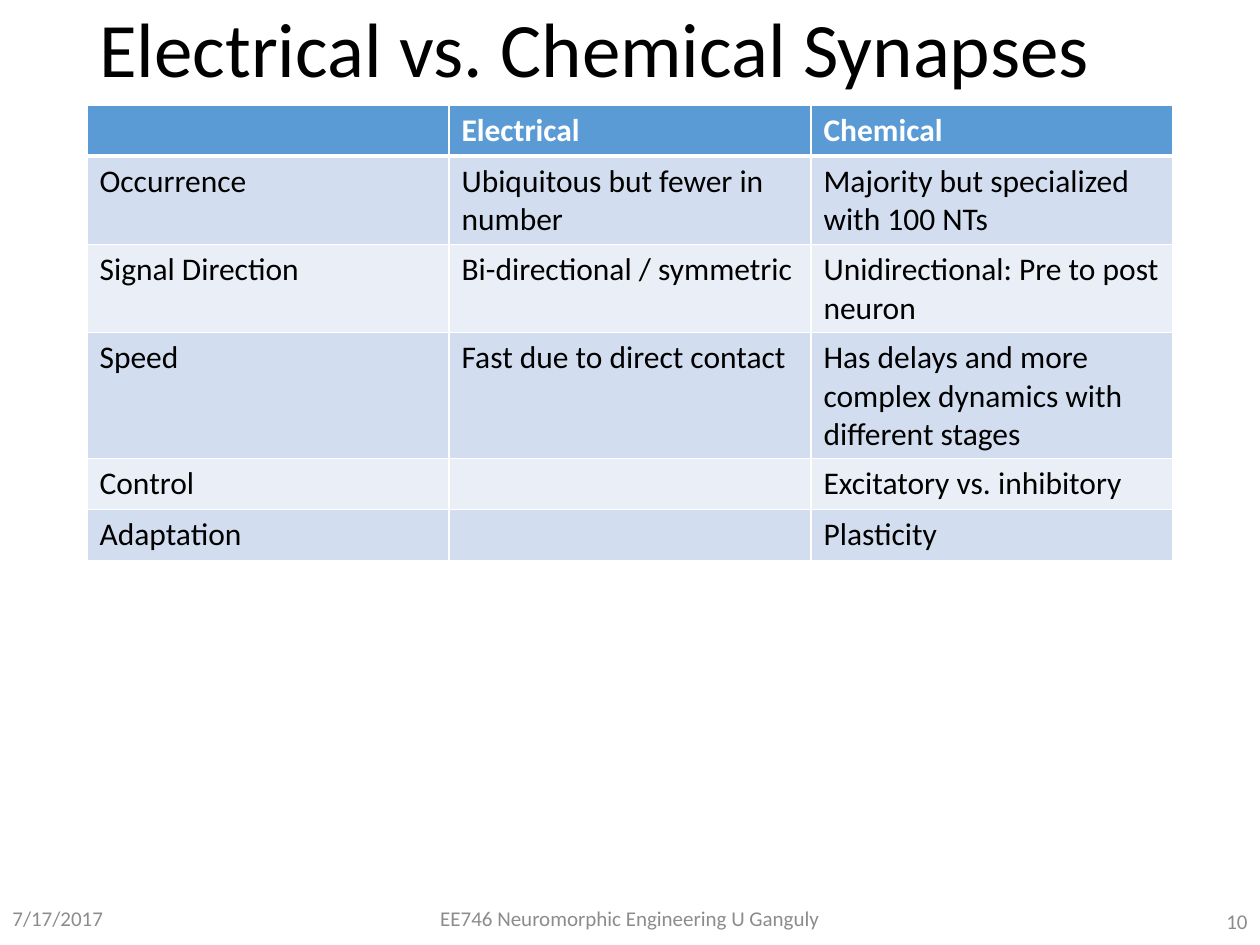
import dataclasses

import lxml.etree
import pptx
import pptx.dml.color
import pptx.enum.text
import pptx.oxml.ns
import pptx.util

EMU_PER_PX = 914400 / 126
ALIGN = pptx.enum.text.PP_ALIGN


@dataclasses.dataclass(frozen=True)
class Theme:
    font: str = "Calibri"
    black: str = "000000"
    white: str = "FFFFFF"
    gray: str = "8C8C8C"
    header: str = "5B9BD5"
    bands: tuple = ("D2DEEF", "EAEFF7")
    title_size: int = 44
    table_size: int = 18
    footer_size: int = 12
    thin: int = 1
    thick: int = 3


def px(length):
    return pptx.util.Emu(round(length * EMU_PER_PX))


def rgb(color):
    return pptx.dml.color.RGBColor.from_string(color)


def write_text(frame, text, *, font, size, color, bold=False,
               align=ALIGN.LEFT, line_spacing=None):
    paragraph = frame.paragraphs[0]
    paragraph.alignment = align
    if line_spacing:
        paragraph.line_spacing = line_spacing
    run = paragraph.add_run()
    run.text = text
    run.font.name = font
    run.font.size = pptx.util.Pt(size)
    run.font.bold = bold
    run.font.color.rgb = rgb(color)


class SlideBuilder:
    def __init__(self, slide, theme):
        self.slide = slide
        self.theme = theme

    def text(self, text, left, top, width, height, **text_format):
        shape = self.slide.shapes.add_textbox(px(left), px(top), px(width), px(height))
        frame = shape.text_frame
        frame.word_wrap = True
        frame.vertical_anchor = pptx.enum.text.MSO_ANCHOR.MIDDLE
        write_text(frame, text, font=self.theme.font, **text_format)

    def border(self, cell, side, width):
        properties = cell._tc.get_or_add_tcPr()
        qn = pptx.oxml.ns.qn
        line = lxml.etree.SubElement(properties, qn(f"a:ln{side}"),
                                     w=str(pptx.util.Pt(width)))
        fill = lxml.etree.SubElement(line, qn("a:solidFill"))
        lxml.etree.SubElement(fill, qn("a:srgbClr"), val=self.theme.white)

    def table(self, rows, left, top, width, row_height):
        theme = self.theme
        shape = self.slide.shapes.add_table(
            len(rows), len(rows[0]), px(left), px(top), px(width),
            px(row_height * len(rows)))
        for row_index, row in enumerate(rows):
            is_header = row_index == 0
            fill = theme.header if is_header else theme.bands[(row_index - 1) % 2]
            widths = {"L": theme.thin, "R": theme.thin,
                      "T": theme.thick if row_index == 1 else theme.thin,
                      "B": theme.thick if is_header else theme.thin}
            for column_index, text in enumerate(row):
                cell = shape.table.cell(row_index, column_index)
                for side, border_width in widths.items():
                    self.border(cell, side, border_width)
                cell.fill.solid()
                cell.fill.fore_color.rgb = rgb(fill)
                if text:
                    write_text(cell.text_frame, text, font=theme.font,
                               size=theme.table_size, bold=is_header,
                               color=theme.white if is_header else theme.black)


def main():
    presentation = pptx.Presentation()
    presentation.slide_width = px(1260)
    presentation.slide_height = px(945)
    theme = Theme()
    slide = presentation.slides.add_slide(presentation.slide_layouts[6])
    builder = SlideBuilder(slide, theme)

    builder.text("Electrical vs. Chemical Synapses", 87, 1, 1086, 103,
                 size=theme.title_size, color=theme.black, line_spacing=0.9)
    builder.table([
        ("", "Electrical", "Chemical"),
        ("Occurrence", "Ubiquitous but fewer in number",
         "Majority but specialized with 100 NTs"),
        ("Signal Direction", "Bi-directional / symmetric",
         "Unidirectional: Pre to post neuron"),
        ("Speed", "Fast due to direct contact",
         "Has delays and more complex dynamics with different stages"),
        ("Control", "", "Excitatory vs. inhibitory"),
        ("Adaptation", "", "Plasticity"),
    ], 87, 105, 1086, 51)

    footers = [
        ("7/17/2017", 0, 893, 284, ALIGN.LEFT),
        ("EE746 Neuromorphic Engineering U Ganguly", 417, 893, 426, ALIGN.CENTER),
        ("10", 976, 896, 284, ALIGN.RIGHT),
    ]
    for text, left, top, width, align in footers:
        builder.text(text, left, top, width, 50, size=theme.footer_size,
                     color=theme.gray, align=align)

    presentation.save("out.pptx")


if __name__ == "__main__":
    main()
